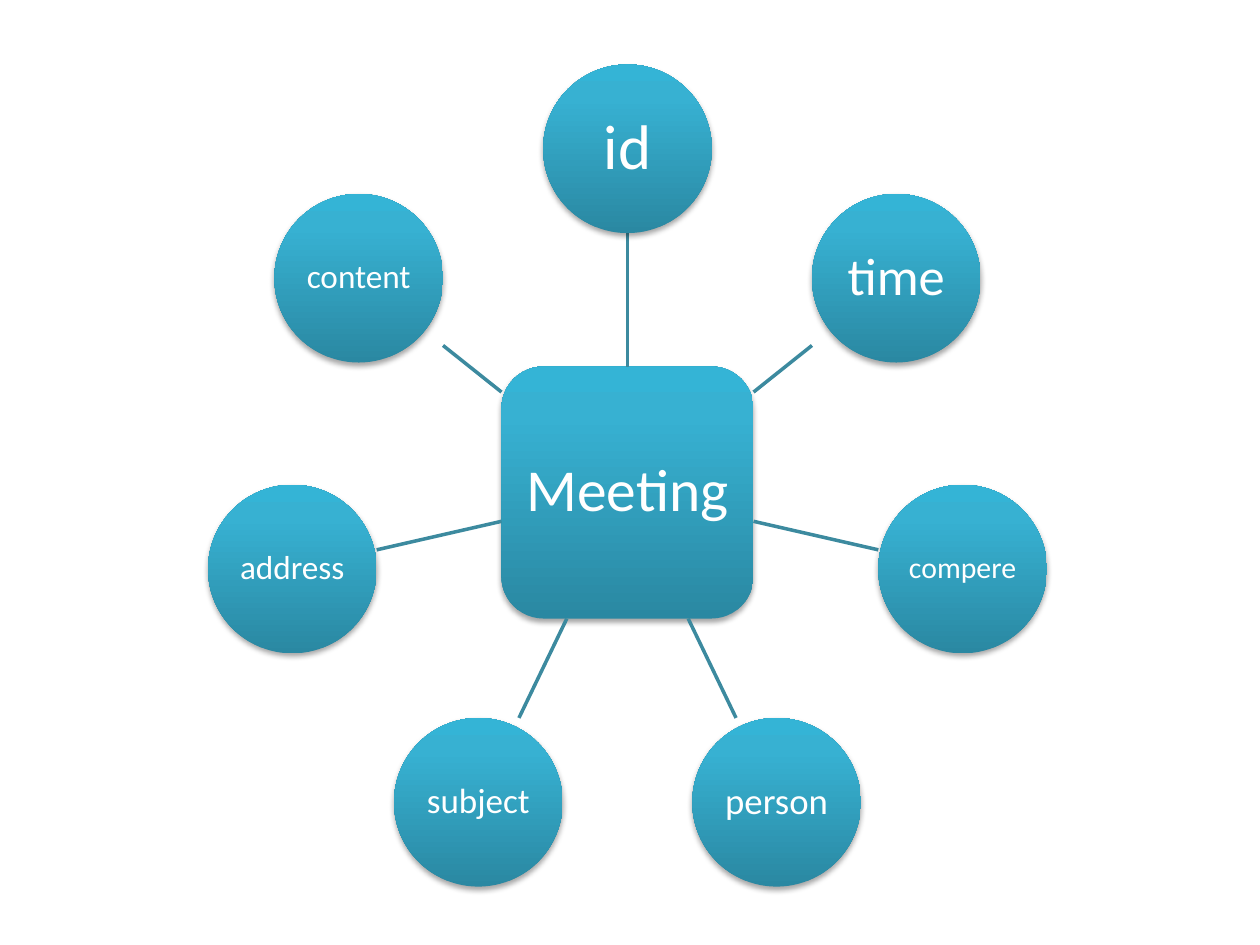
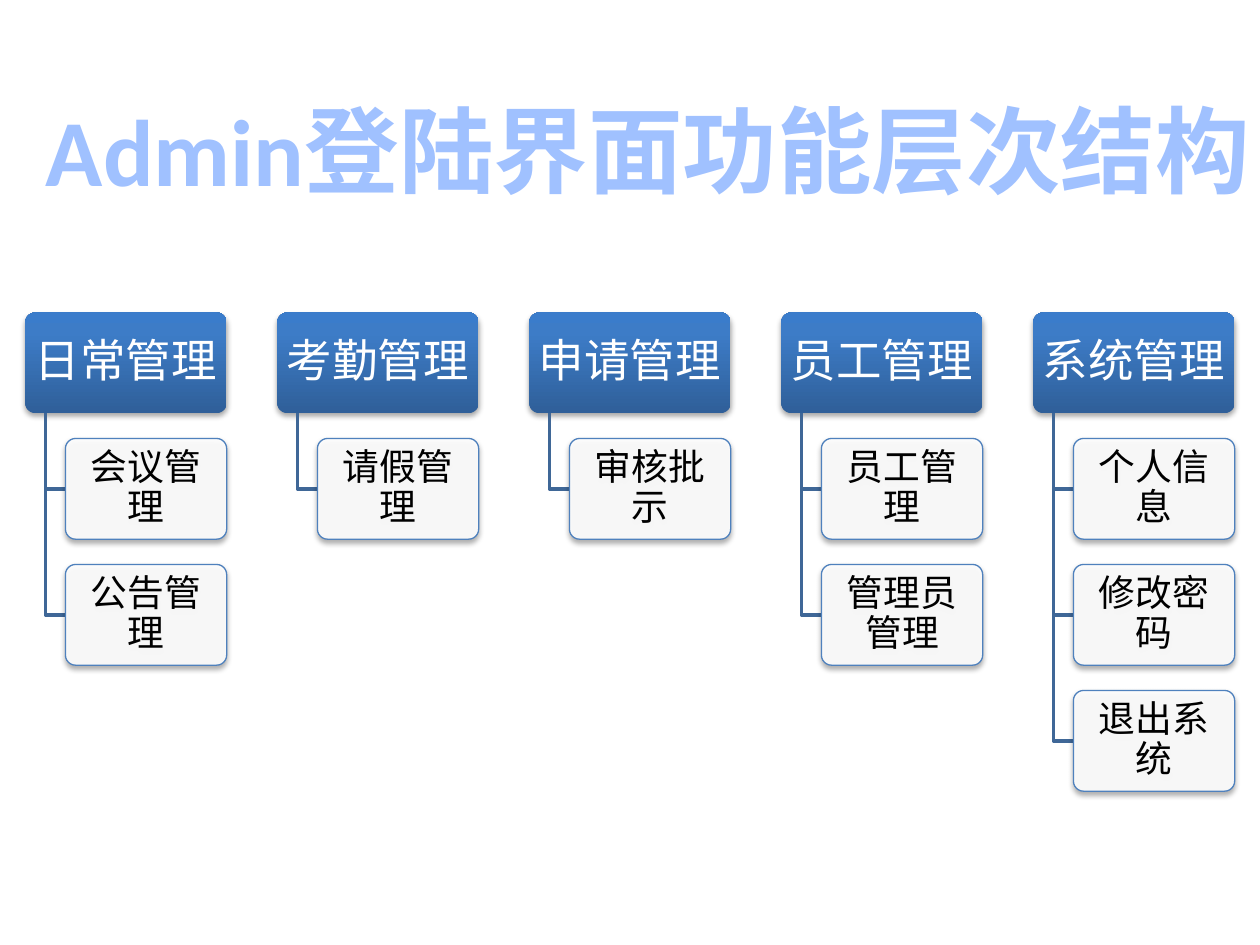
import math

from lxml import etree
from pptx import Presentation
from pptx import util as u
from pptx.dml.color import RGBColor
from pptx.enum import shapes, text
from pptx.oxml.ns import qn

FONT = "Calibri"
COLOURS = {
    "teal dark": "2A88A2", "teal mid": "37B1D2", "teal light": "34B4D6",
    "blue dark": "2F5F99", "blue mid": "3D7CC7", "blue light": "3A7CCB",
    "spoke": "3C8A9F", "branch": "3F6797", "card edge": "4F81BD",
    "title": "A0C1FF", "white": "FFFFFF", "black": "000000",
}
SHADES = (("dark", 0), ("mid", 80000), ("light", 100000))


def add_node(slide, kind, place, words, size, inset, hue=None):
    """Add a shadowed, labelled shape: a gradient of the hue, or a white card without one."""
    node = slide.shapes.add_shape(kind, *(u.Cm(length) for length in place))
    properties = node.element.spPr
    if hue:
        node.fill.gradient()
        node.fill.gradient_angle = 90
        stops = properties.find(".//" + qn("a:gsLst"))
        stops.clear()
        for shade, position in SHADES:
            stop = etree.SubElement(stops, qn("a:gs"), pos=str(position))
            etree.SubElement(stop, qn("a:srgbClr"), val=COLOURS[f"{hue} {shade}"])
        node.line.fill.background()
    else:
        node.fill.solid()
        node.fill.fore_color.rgb = RGBColor.from_string(COLOURS["white"])
        white = properties.find(".//" + qn("a:srgbClr"))
        etree.SubElement(white, qn("a:alpha"), val="90000")
        node.line.color.rgb = RGBColor.from_string(COLOURS["card edge"])
        node.line.width = u.Pt(0.75)

    node.shadow.inherit = False
    shadow = etree.SubElement(properties.find(qn("a:effectLst")), qn("a:outerShdw"),
                              blurRad="40000", dist="23000", dir="5400000", rotWithShape="0")
    shade = etree.SubElement(shadow, qn("a:srgbClr"), val=COLOURS["black"])
    etree.SubElement(shade, qn("a:alpha"), val="35000")

    frame = node.text_frame
    frame.word_wrap = True
    frame.vertical_anchor = text.MSO_ANCHOR.MIDDLE
    frame.margin_left = frame.margin_right = u.Cm(inset[0])
    frame.margin_top = frame.margin_bottom = u.Cm(inset[1])
    frame.text = words
    para = frame.paragraphs[0]
    para.alignment = text.PP_ALIGN.CENTER
    para.line_spacing = 0.9
    font = para.runs[0].font
    font.name, font.size = FONT, u.Pt(size)
    font.color.rgb = RGBColor.from_string(COLOURS["white" if hue else "black"])
    return node


def style_line(line, colour):
    line.line.color.rgb = RGBColor.from_string(COLOURS[colour])
    line.line.width = u.Pt(2)
    etree.SubElement(line.element.spPr, qn("a:effectLst"))


deck = Presentation()
deck.slide_width, deck.slide_height = u.Cm(25.4), u.Cm(19.05)
ROUNDED = shapes.MSO_SHAPE.ROUNDED_RECTANGLE

# Slide 1: the attributes of a meeting, evenly spaced around it
page = deck.slides.add_slide(deck.slide_layouts[6])
centre_x, centre_y, orbit = 12.65, 9.93, 6.93
hub_side, circle_side = 5.08, 3.4
attributes = [("id", 36), ("time", 30), ("compere", 17), ("person", 21),
              ("subject", 20), ("address", 19), ("content", 19)]

hub = add_node(page, ROUNDED,
               (centre_x - hub_side / 2, centre_y - hub_side / 2, hub_side, hub_side),
               "Meeting", 34, (0.24, 0.24), "teal")
for index, (attribute, size) in enumerate(attributes):
    angle = 2 * math.pi * index / len(attributes)
    across, down = math.sin(angle), -math.cos(angle)

    # Each spoke runs between the squares that bound the hub and the circle
    reach = max(abs(across), abs(down))
    start = hub_side / 2 / reach
    end = orbit - circle_side / 2 / reach
    spoke = page.shapes.add_connector(
        shapes.MSO_CONNECTOR.STRAIGHT,
        u.Cm(centre_x + start * across), u.Cm(centre_y + start * down),
        u.Cm(centre_x + end * across), u.Cm(centre_y + end * down))
    if index == 0:
        spoke.begin_connect(hub, 0)
    style_line(spoke, "spoke")

    left = centre_x + orbit * across - circle_side / 2
    top = centre_y + orbit * down - circle_side / 2
    inset = size * 0.007
    add_node(page, shapes.MSO_SHAPE.OVAL, (left, top, circle_side, circle_side),
             attribute, size, (inset, inset), "teal")

# Slide 2: the functions of the administrator's interface
page = deck.slides.add_slide(deck.slide_layouts[5])
menus = {
    "日常管理": ["会议管理", "公告管理"],
    "考勤管理": ["请假管理"],
    "申请管理": ["审核批示"],
    "员工管理": ["员工管理", "管理员管理"],
    "系统管理": ["个人信息", "修改密码", "退出系统"],
}
menu_left, menu_top, menu_width, box_height = 0.51, 6.3, 4.06, 2.03
column_pitch, row_pitch = 5.08, 2.54
trunk_indent, card_indent = 0.41, 0.81

for column, (menu, functions) in enumerate(menus.items()):
    left = menu_left + column * column_pitch
    header = add_node(page, ROUNDED, (left, menu_top, menu_width, box_height),
                      menu, 26, (0.13, 0.1), "blue")
    header.adjustments[0] = 0.1
    trunk_x, card_x = left + trunk_indent, left + card_indent
    for row, function in enumerate(functions, start=1):
        top = menu_top + row * row_pitch
        middle = u.Cm(top + box_height / 2)
        outline = page.shapes.build_freeform(u.Cm(trunk_x), u.Cm(menu_top + box_height))
        outline.add_line_segments([(u.Cm(trunk_x), middle), (u.Cm(card_x), middle)], close=False)
        branch = outline.convert_to_shape()
        branch.fill.background()
        style_line(branch, "branch")
        card = add_node(page, ROUNDED, (card_x, top, menu_width - card_indent, box_height),
                        function, 21, (0.1, 0.08))
        card.adjustments[0] = 0.1

title = page.shapes.title
title.left, title.top, title.width, title.height = u.Cm(0.51), u.Cm(1.73), u.Cm(25.1), u.Cm(2.57)
frame = title.text_frame
frame.text = "Admin登陆界面功能层次结构"
frame.word_wrap = True
frame.auto_size = text.MSO_AUTO_SIZE.NONE
frame.vertical_anchor = text.MSO_ANCHOR.TOP
para = frame.paragraphs[0]
para.alignment = text.PP_ALIGN.CENTER
font = para.runs[0].font
font.name, font.size, font.bold = FONT, u.Pt(54), True
font.color.rgb = RGBColor.from_string(COLOURS["title"])

deck.save("out.pptx")
